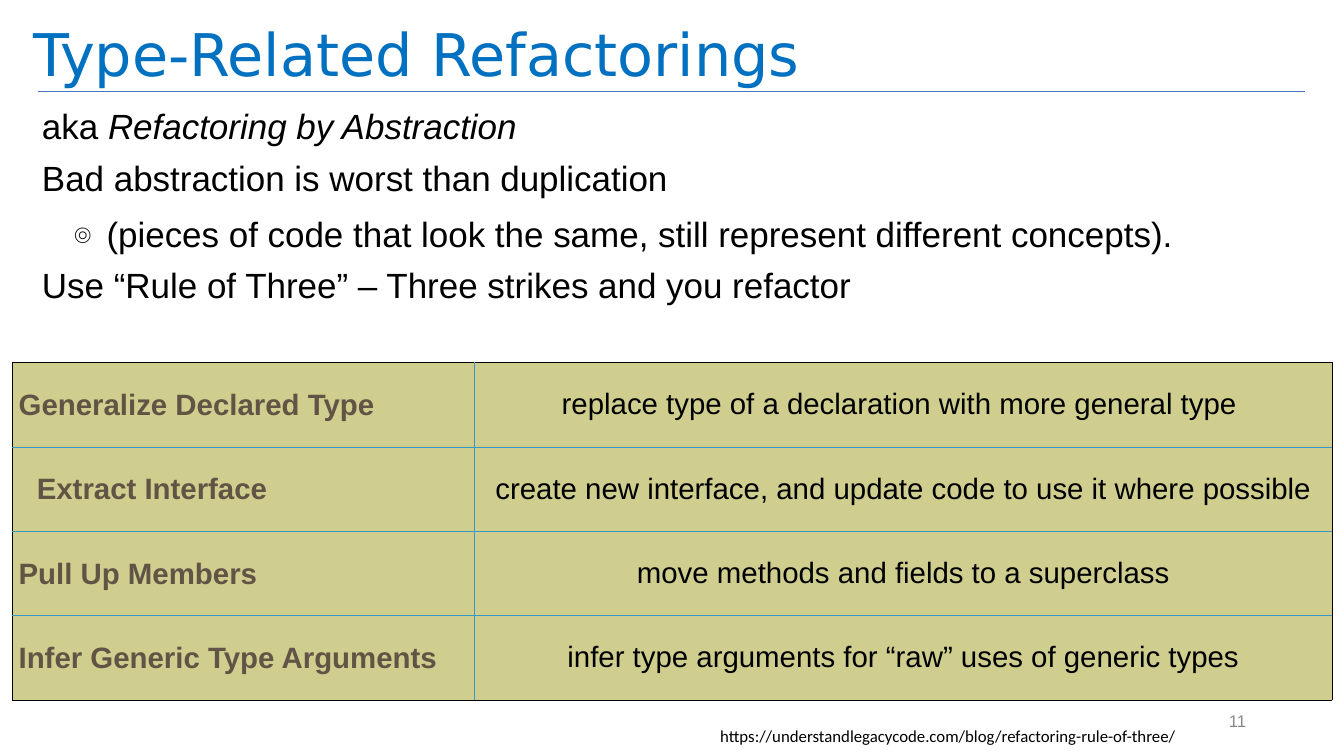
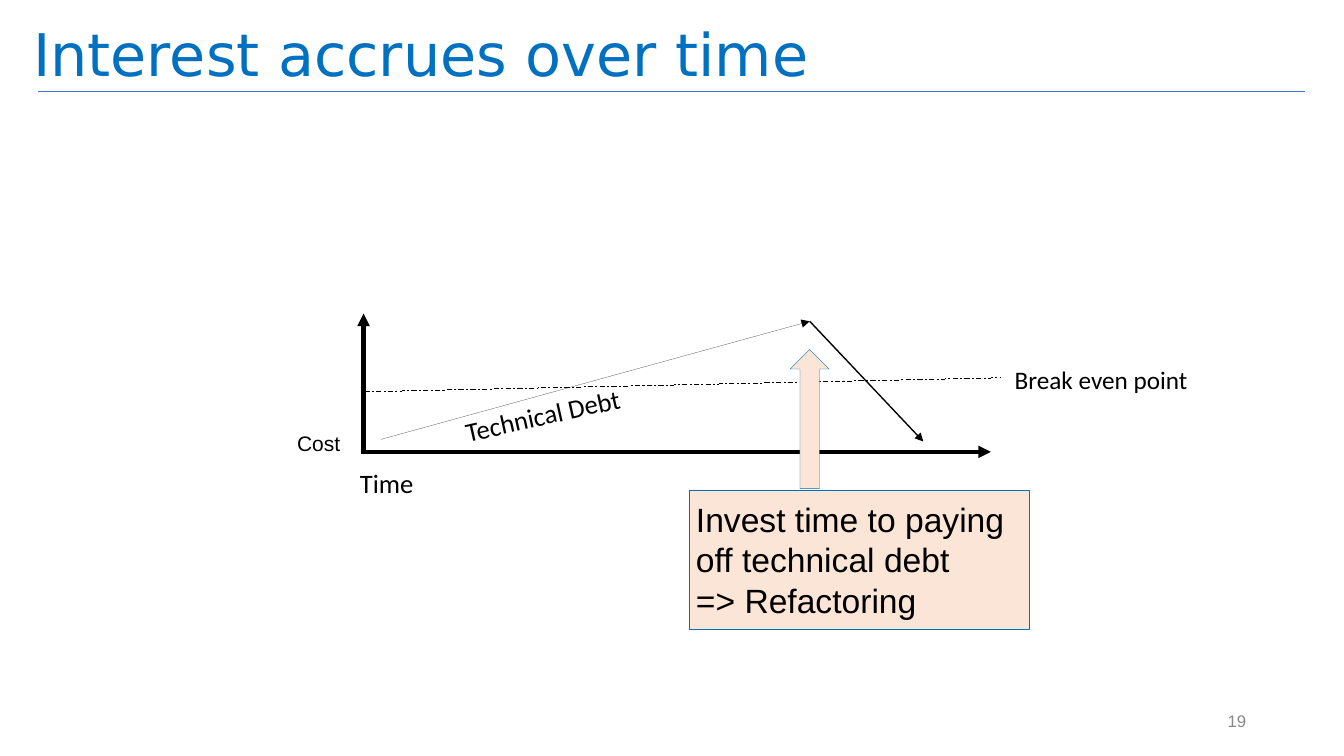
from lxml import etree
from pptx import Presentation
from pptx import util as u
from pptx.dml.color import RGBColor
from pptx.enum import dml, shapes, text
from pptx.oxml import ns

# Shared look; lengths below are percents of the slide's width and height
WIDE, HIGH = u.Inches(13.33), u.Inches(7.5)
HUES = {"ink": "000000", "title": "0070C0", "rule": "4472C4",
        "page": "888888", "term": "615445", "cell": "929000",
        "grid": "3797C6", "note": "FBE5D6"}
MID = text.MSO_ANCHOR.MIDDLE
LEFT, CENTER, RIGHT = (text.PP_ALIGN.LEFT, text.PP_ALIGN.CENTER,
                       text.PP_ALIGN.RIGHT)


def hue(name):
    return RGBColor.from_string(HUES[name])


def across(part):
    return u.Emu(round(WIDE * part / 100))


def down(part):
    return u.Emu(round(HIGH * part / 100))


def place(area):
    left, top, width, height = area
    return across(left), down(top), across(width), down(height)


def node(parent, tag, **attrs):
    item = etree.SubElement(parent, ns.qn("a:" + tag))
    for key, value in attrs.items():
        item.set(key, str(value))
    return item


# Text
def style(para, size, font="Arial", color="ink", bold=False, align=LEFT):
    para.alignment = align
    for run in para.runs:
        run.font.size = u.Pt(size)
        run.font.name = font
        run.font.bold = bold
        run.font.color.rgb = hue(color)


def inset(frame, pad, anchor=MID, wrap=True):
    frame.margin_left = frame.margin_right = u.Inches(pad)
    frame.margin_top = frame.margin_bottom = u.Inches(pad)
    frame.vertical_anchor = anchor
    frame.word_wrap = wrap


def label(slide, words, area, size, pad=0.04, turn=0, **look):
    box = slide.shapes.add_textbox(*place(area))
    box.rotation = turn
    inset(box.text_frame, pad)
    box.text_frame.text = words
    style(box.text_frame.paragraphs[0], size, **look)


def body(slide, items, area):
    frame = slide.shapes.add_textbox(*place(area)).text_frame
    inset(frame, 0.05, text.MSO_ANCHOR.TOP)
    for i, (words, slant, level) in enumerate(items):
        para = frame.paragraphs[0] if i == 0 else frame.add_paragraph()
        para.text = words
        if slant:
            para.add_run().text = slant
            para.runs[-1].font.italic = True
        if level:
            para.level = level
            props = para._p.get_or_add_pPr()
            props.set("marL", str(u.Inches(0.64)))
            props.set("indent", str(u.Inches(-0.33)))
            node(props, "buSzPct", val=84000)
            node(props, "buFont", typeface="Arial")
            node(props, "buChar", char="๏")
        else:
            para.line_spacing = 0.9
        if i:
            para.space_before = u.Pt(10)
        style(para, 25)


# Lines and shapes; a line without a width is drawn as a hairline
def line(slide, start, end, width=None, color="ink", arrow=False, dash=None):
    link = slide.shapes.add_connector(
        shapes.MSO_CONNECTOR.STRAIGHT, across(start[0]), down(start[1]),
        across(end[0]), down(end[1]))
    link._element.remove(link._element.find(ns.qn("p:style")))
    if width:
        link.line.width = u.Pt(width)
    link.line.color.rgb = hue(color)
    if dash:
        link.line.dash_style = dash
    if arrow:
        node(link.line._get_or_add_ln(), "tailEnd", type="triangle")
    node(link._element.spPr, "effectLst")


def block(slide, kind, area):
    form = slide.shapes.add_shape(kind, *place(area))
    form.shadow.inherit = False
    form.fill.solid()
    form.fill.fore_color.rgb = hue("note")
    form.line.color.rgb = hue("title")
    form.line.width = u.Pt(0.25)
    return form


# Table
def edge(cell, side, color):
    border = node(cell._tc.get_or_add_tcPr(), "ln" + side, w=u.Pt(0.25))
    node(node(border, "solidFill"), "srgbClr", val=HUES[color])


def table(slide, rows, area, shares):
    grid = slide.shapes.add_table(len(rows), len(shares), *place(area)).table
    grid.first_row = grid.horz_banding = False
    for col, share in zip(grid.columns, shares):
        col.width = across(area[2] * share)
    last, end = len(rows) - 1, len(shares) - 1
    for r, row in enumerate(rows):
        for c, words in enumerate(row):
            cell = grid.cell(r, c)
            outer = {"L": c == 0, "R": c == end, "T": r == 0, "B": r == last}
            for side, rim in outer.items():
                edge(cell, side, "ink" if rim else "grid")
            cell.fill.solid()
            cell.fill.fore_color.rgb = hue("cell")
            tint = cell._tc.tcPr.find(ns.qn("a:solidFill"))[0]
            node(tint, "alpha", val=44000)
            cell.margin_left = cell.margin_right = u.Inches(0.06)
            cell.margin_top = cell.margin_bottom = u.Inches(0.06)
            cell.vertical_anchor = MID
            cell.text_frame.text = words
            para = cell.text_frame.paragraphs[0]
            if c == 0:
                para.line_spacing = 1.04
                style(para, 21, color="term", bold=True)
            else:
                style(para, 21, align=CENTER)
    return grid


# Title, rule and page number of every slide
def start(deck, title, page):
    slide = deck.slides.add_slide(deck.slide_layouts[5])
    line(slide, (2.85, 12.13), (97.13, 12.13), 0.5, "rule")
    head = slide.shapes.title
    head.left, head.top, head.width, head.height = place(
        (2.1, -6.8, 98.18, 19.33))
    frame = head.text_frame
    frame.text = title
    frame.auto_size = text.MSO_AUTO_SIZE.NONE
    inset(frame, 0.05, text.MSO_ANCHOR.BOTTOM)
    frame.paragraphs[0].line_spacing = 0.9
    style(frame.paragraphs[0], 42, "DejaVu Sans", "title")
    label(slide, page, (90.1, 93.6, 3, 3.6), 12, 0.05,
          color="page", align=RIGHT)
    return slide


def types(deck):
    slide = start(deck, "Type-Related Refactorings", "11")
    body(slide, [
        ("aka ", "Refactoring by Abstraction", 0),
        ("Bad abstraction is worst than duplication", "", 0),
        ("(pieces of code that look the same, still represent different "
         "concepts).", "", 1),
        ("Use “Rule of Three” – Three strikes and you refactor", "", 0),
    ], (2.75, 13.77, 95.93, 32))
    label(slide, "https://understandlegacycode.com/blog/"
          "refactoring-rule-of-three/", (52.05, 95.47, 36.98, 3.6), 12, 0.05,
          font="Calibri", align=CENTER)
    grid = table(slide, [
        ("Generalize Declared Type",
         "replace type of a declaration with more general type "),
        ("Extract Interface",
         "create new interface, and update code to use it where possible"),
        ("Pull Up Members", "move methods and fields to a superclass"),
        ("Infer Generic Type Arguments",
         "infer type arguments for “raw” uses of generic types"),
    ], (0.94, 47.93, 98.18, 44.67), (0.35, 0.65))
    para = grid.cell(1, 0).text_frame.paragraphs[0]
    para._p.get_or_add_pPr().set("indent", str(u.Inches(0.18)))


def debt(deck):
    slide = start(deck, "Interest accrues over time", "19")
    # Axes
    line(slide, (26.93, 59.77), (73.73, 59.77), 3, arrow=True)
    line(slide, (27.05, 60), (27.05, 41.47), 3, arrow=True)
    label(slide, "Cost", (21.8, 56.6, 7.73, 4), 15)
    label(slide, "Time", (26.48, 61.2, 7.73, 5.47), 19, font="Calibri")
    # Debt grows, then is paid off
    peak = (60.25, 42.5)
    line(slide, (28.33, 58.13), peak, arrow=True)
    line(slide, peak, (68.7, 58.4), 1, arrow=True)
    label(slide, "Technical Debt", (34.17, 51.87, 16.43, 4.4), 19,
          turn=347.4, font="Calibri")
    # Break even
    line(slide, (27.15, 51.83), (74.48, 49.97),
         dash=dml.MSO_LINE.DASH_DOT)
    label(slide, "Break even point", (75.2, 48, 20.93, 4.4), 18,
          font="Calibri")
    # Advice
    note = block(slide, shapes.MSO_SHAPE.RECTANGLE,
                 (51.26, 64.8, 25.33, 18.4))
    inset(note.text_frame, 0.07)
    note.text_frame.text = ("Invest time to paying off technical debt\n"
                            "=> Refactoring")
    for para in note.text_frame.paragraphs:
        style(para, 24)
    block(slide, shapes.MSO_SHAPE.UP_ARROW, (58.8, 46.23, 2.9, 18.4))


def main():
    deck = Presentation()
    deck.slide_width, deck.slide_height = WIDE, HIGH
    types(deck)
    debt(deck)
    deck.save("out.pptx")


if __name__ == "__main__":
    main()
